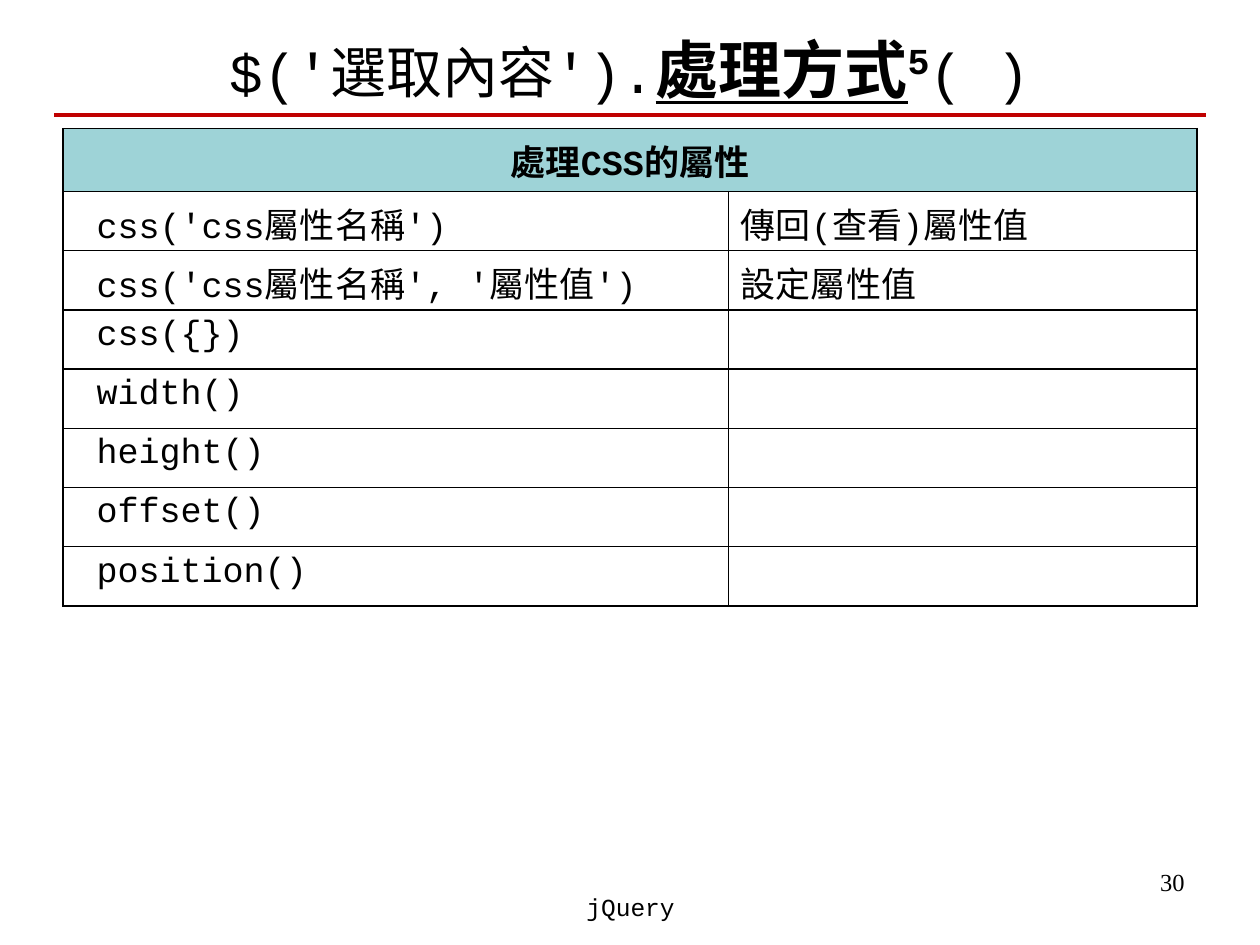
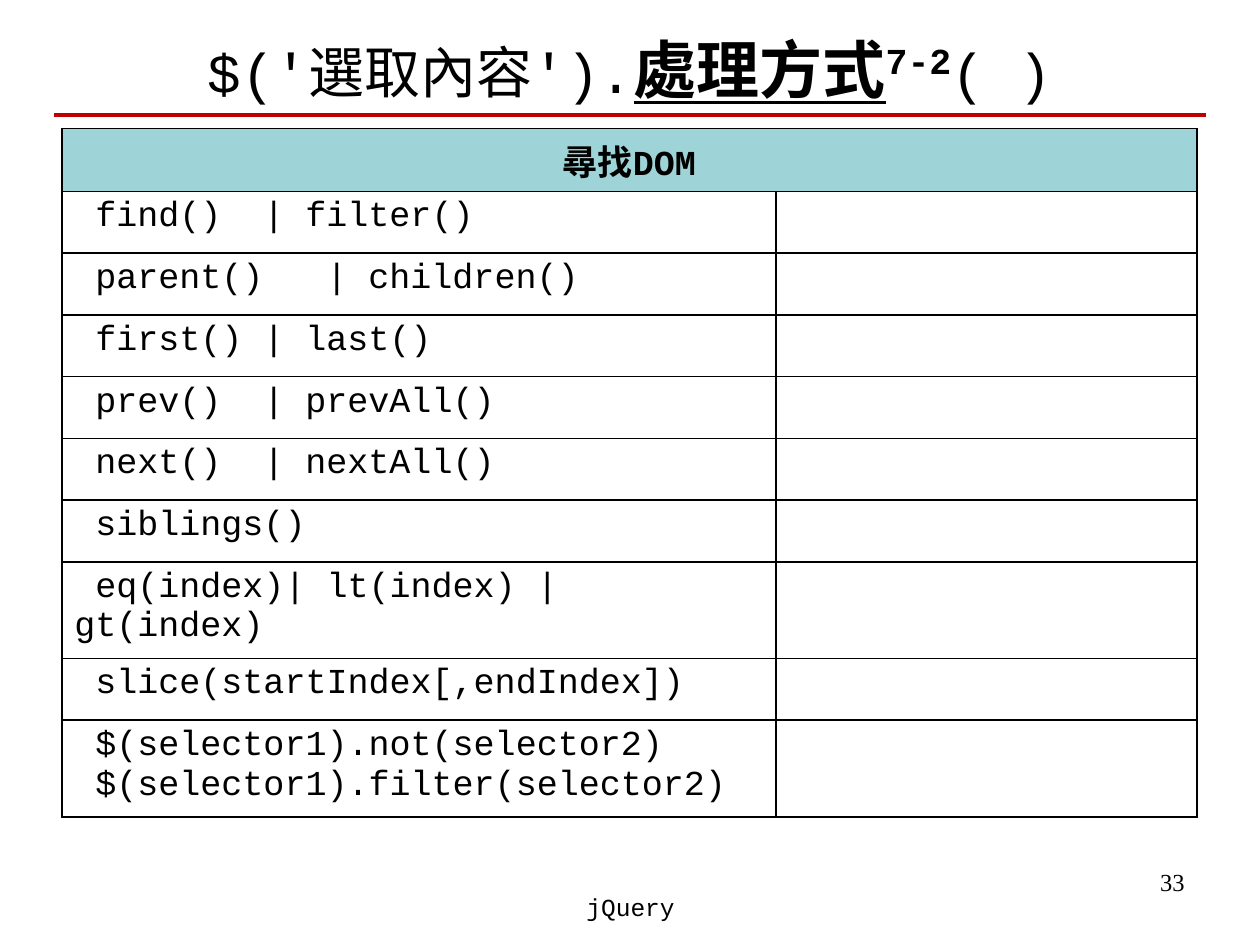
from lxml.etree import SubElement
from pptx import Presentation
from pptx.dml.color import RGBColor
from pptx.enum.shapes import MSO_CONNECTOR
from pptx.enum.text import MSO_ANCHOR, PP_ALIGN
from pptx.oxml.ns import qn
from pptx.util import Inches, Pt

HUES = {"ink": "000000", "rule": "C00000", "head": "9ED3D7"}
MONO, SERIF = "Courier New", "Times New Roman"
WIDE, HIGH = 10, 7.5
COLS, ROWS = 20, 15
CHAR = 0.6 * 20 / 72  # inches taken by one 20 pt Courier letter
BAR = 10              # letters before the bar that parts two methods

PAGES = [
    {
        "mark": "5", "page": "30", "head": "處理CSS的屬性",
        "left": 1, "cols": (10.56, 7.44), "step": 0.94,
        "rows": [
            ("css('css屬性名稱')", "傳回(查看)屬性值"),
            ("css('css屬性名稱', '屬性值')", "設定屬性值"),
            ("css({})", ""),
            ("width()", ""),
            ("height()", ""),
            ("offset()", ""),
            ("position()", ""),
        ],
    },
    {
        "mark": "7-2", "page": "33", "head": "尋找DOM",
        "left": 0.98, "cols": (11.34, 6.68), "step": 0.98,
        "rows": [
            ("find()\t| filter()", ""),
            ("parent()\t| children()", ""),
            ("first()\t| last()", ""),
            ("prev()\t| prevAll()", ""),
            ("next()\t| nextAll()", ""),
            ("siblings()", ""),
            ("eq(index)| lt(index) | gt(index)", ""),
            ("slice(startIndex[,endIndex])", ""),
            ("$(selector1).not(selector2)\n$(selector1).filter(selector2)", ""),
        ],
    },
]


def hue(name):
    return RGBColor.from_string(HUES[name])


class Deck:
    def __init__(self):
        self.file = Presentation()
        self.file.slide_width = Inches(WIDE)
        self.file.slide_height = Inches(HIGH)
        self.slide = None

    def x(self, cols):
        return Inches(cols * WIDE / COLS)

    def y(self, rows):
        return Inches(rows * HIGH / ROWS)

    def start(self):
        self.slide = self.file.slides.add_slide(self.file.slide_layouts[6])

    def words(self, para, text, raised=0, **form):
        """Add one run; raised is the superscript lift in percent."""
        run = para.add_run()
        run.text = text
        for key, value in ({"name": MONO, "size": Pt(20)} | form).items():
            setattr(run.font, key, value)
        run.font.color.rgb = hue("ink")
        if raised:
            run._r.get_or_add_rPr().set("baseline", str(raised * 1000))

    def text(self, left, top, wide, high, runs, align=PP_ALIGN.CENTER,
             anchor=MSO_ANCHOR.TOP):
        box = self.slide.shapes.add_textbox(
            self.x(left), self.y(top), self.x(wide), self.y(high))
        frame = box.text_frame
        frame.word_wrap = True
        frame.vertical_anchor = anchor
        para = frame.paragraphs[0]
        para.alignment = align
        for part, form in runs:
            self.words(para, part, **form)

    def line(self, left, right, top):
        rule = self.slide.shapes.add_connector(
            MSO_CONNECTOR.STRAIGHT, self.x(left), self.y(top),
            self.x(right), self.y(top))
        rule.line.color.rgb = hue("rule")
        rule.line.width = Pt(2.25)
        SubElement(rule._element.spPr, qn("a:effectLst"))

    def edge(self, cell):
        props = cell._tc.get_or_add_tcPr()
        for side in ("lnL", "lnR", "lnT", "lnB"):
            line = SubElement(props, qn("a:" + side), w=str(Pt(1)))
            fill = SubElement(line, qn("a:solidFill"))
            SubElement(fill, qn("a:srgbClr"), val=HUES["ink"])

    def code(self, para):
        """Indent the first line by one letter and align the bars."""
        props = para._p.get_or_add_pPr()
        props.set("marL", "0")
        props.set("indent", str(Inches(CHAR)))
        stops = SubElement(props, qn("a:tabLst"))
        SubElement(stops, qn("a:tab"), pos=str(Inches(BAR * CHAR)), algn="l")

    def fill(self, cell, text, code):
        frame = cell.text_frame
        for i, part in enumerate(text.split("\n")):
            para = frame.add_paragraph() if i else frame.paragraphs[0]
            if code:
                self.code(para)
            self.words(para, part, bold=False)

    def table(self, left, top, cols, step, head, rows):
        tall = [1] + [step * (1 + 0.57 * row[0].count("\n")) for row in rows]
        grid = self.slide.shapes.add_table(
            len(tall), len(cols), self.x(left), self.y(top),
            self.x(sum(cols)), self.y(sum(tall))).table
        grid.first_row = grid.horz_banding = False
        for col, wide in zip(grid.columns, cols):
            col.width = self.x(wide)
        for row, high in zip(grid.rows, tall):
            row.height = self.y(high)
        for cell in grid.iter_cells():
            self.edge(cell)
            cell.fill.background()
        first = grid.cell(0, 0)
        first.merge(grid.cell(0, len(cols) - 1))
        first.fill.solid()
        first.fill.fore_color.rgb = hue("head")
        para = first.text_frame.paragraphs[0]
        para.alignment = PP_ALIGN.CENTER
        self.words(para, head, bold=True)
        for r, row in enumerate(rows, 1):
            for c, text in enumerate(row):
                if text:
                    self.fill(grid.cell(r, c), text, code=c == 0)

    def frame(self, mark, page):
        """Draw what every slide shares: number, title, rule and footer."""
        small, plain = {"size": Pt(14)}, {"size": Pt(32)}
        strong = {"size": Pt(36), "bold": True}
        self.text(14.34, 13.66, 4.66, 1.04, [(page, small | {"name": SERIF})],
                  PP_ALIGN.RIGHT)
        self.text(1, 0.32, 18, 1.52, [
            ("$('選取內容').", plain),
            ("處理方式", strong | {"underline": True}),
            (mark, strong | {"raised": 30}),
            ("( )", plain),
        ], anchor=MSO_ANCHOR.MIDDLE)
        self.line(0.86, 19.14, 1.82)
        self.text(6.84, 14.06, 6.34, 1, [("jQuery", small)])


def main():
    deck = Deck()
    for page in PAGES:
        deck.start()
        deck.frame(page["mark"], page["page"])
        deck.table(page["left"], 2.04, page["cols"], page["step"],
                   page["head"], page["rows"])
    deck.file.save("out.pptx")


if __name__ == "__main__":
    main()
